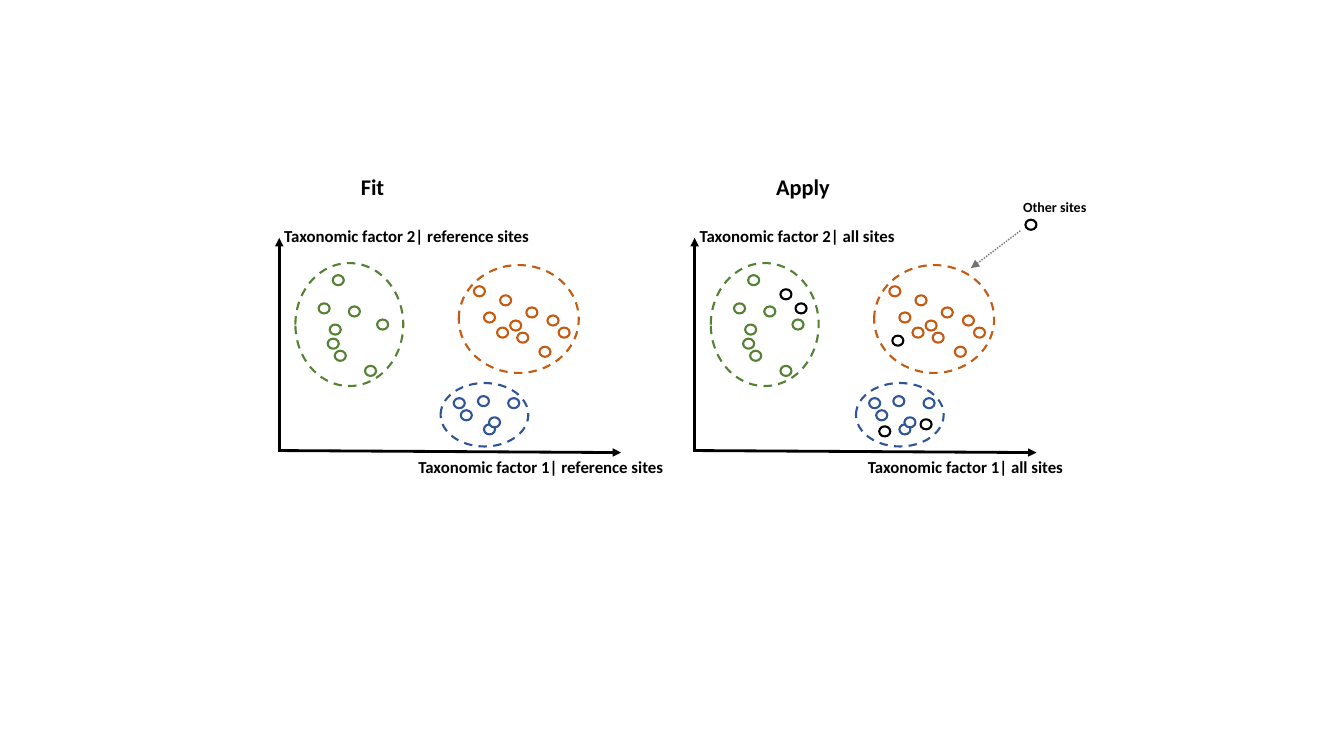
from pptx import Presentation
from pptx.dml.color import RGBColor
from pptx.enum.dml import MSO_LINE
from pptx.enum.shapes import MSO_CONNECTOR, MSO_SHAPE
from pptx.enum.text import MSO_AUTO_SIZE
from pptx.oxml.ns import qn
from pptx.util import Inches, Pt
from lxml.etree import SubElement

BLACK = RGBColor(0x00, 0x00, 0x00)
WHITE = RGBColor(0xFF, 0xFF, 0xFF)
GREY = RGBColor(0x76, 0x71, 0x71)
GREEN = RGBColor(0x54, 0x82, 0x35)
ORANGE = RGBColor(0xC5, 0x5A, 0x11)
BLUE = RGBColor(0x2F, 0x55, 0x97)

SITE_SIZE = (0.11, 0.1)
PANEL_STEP = 4.12

# Each cluster: colour, outline (left, top, width, height), reference sites
CLUSTERS = [
    (BLUE, (4.37, 3.8, 0.87, 0.63),
     [(4.5, 3.95), (4.57, 4.07), (4.8, 4.21), (5.04, 3.95), (4.85, 4.14),
      (4.74, 3.93)]),
    (ORANGE, (4.55, 2.63, 1.19, 1.07),
     [(4.7, 2.84), (4.8, 3.1), (4.96, 2.93), (5.06, 3.18), (5.13, 3.3),
      (4.93, 3.25), (5.22, 3.05), (5.35, 3.44), (5.43, 3.13), (5.54, 3.25)]),
    (GREEN, (2.93, 2.61, 1.07, 1.22),
     [(3.3, 2.73), (3.46, 3.04), (3.27, 3.22), (3.16, 3.01), (3.25, 3.36),
      (3.32, 3.48), (3.62, 3.63), (3.74, 3.17)]),
]
OTHER_SITES = [(10.17, 2.18), (7.74, 2.87), (7.89, 3.01), (8.72, 4.23),
               (9.13, 4.16), (8.85, 3.33)]


def set_line(line, color, width, dash=None):
    formats = {"width": Pt(width), "dash_style": dash}
    line.color.rgb = color
    for name, value in formats.items():
        setattr(line, name, value)


def add_ellipse(page, left, top, width, height, color, dash=None):
    ellipse = page.shapes.add_shape(
        MSO_SHAPE.OVAL, Inches(left), Inches(top), Inches(width), Inches(height))
    ellipse.shadow.inherit = False
    ellipse.fill.solid()
    ellipse.fill.fore_color.rgb = WHITE
    set_line(ellipse.line, color, 1.5, dash)


def add_sites(page, sites, color, shift=0):
    for left, top in sites:
        add_ellipse(page, left + shift, top, *SITE_SIZE, color)


def add_arrow(page, start, end, color, width, dash=None, tip="a:tailEnd"):
    arrow = page.shapes.add_connector(
        MSO_CONNECTOR.STRAIGHT, *(Inches(value) for value in (*start, *end)))
    set_line(arrow.line, color, width, dash)
    SubElement(arrow.line._get_or_add_ln(), qn(tip), type="triangle")
    SubElement(arrow._element.spPr, qn("a:effectLst"))


def add_label(page, text, left, top, width, height, size):
    box = page.shapes.add_textbox(
        Inches(left), Inches(top), Inches(width), Inches(height))
    frame = box.text_frame
    frame.word_wrap = True
    frame.auto_size = MSO_AUTO_SIZE.SHAPE_TO_FIT_TEXT
    span = frame.paragraphs[0].add_run()
    span.text = text
    formats = {"name": "Calibri", "size": Pt(size), "bold": True}
    for name, value in formats.items():
        setattr(span.font, name, value)
    span.font.color.rgb = BLACK


def add_panel(page, shift, heading, sites, y_width, x_left, x_width):
    # Cluster outlines
    for color, outline, _ in CLUSTERS:
        left, *rest = outline
        add_ellipse(page, left + shift, *rest, color, MSO_LINE.DASH)
    # Axes
    add_arrow(page, (2.77 + shift, 4.47), (6.16 + shift, 4.49), BLACK, 2)
    add_arrow(page, (2.77 + shift, 4.48), (2.77 + shift, 2.36), BLACK, 2)
    # Reference sites
    for color, _, points in CLUSTERS:
        add_sites(page, points, color, shift)
    # Heading and axis labels
    add_label(page, heading, 3.48 + shift, 1.67, 2.52, 0.37, 16)
    add_label(page, f"Taxonomic factor 2| {sites}", 2.72 + shift, 2.19, y_width, 0.3, 12)
    add_label(page, f"Taxonomic factor 1| {sites}", x_left, 4.48, x_width, 0.3, 12)


def main():
    deck = Presentation()
    deck.slide_width, deck.slide_height = Inches(13.33), Inches(7.5)
    page = deck.slides.add_slide(deck.slide_layouts[6])

    add_panel(page, 0, "Fit", "reference sites", 2.94, 4.05, 2.78)
    add_panel(page, PANEL_STEP, "Apply", "all sites", 2.52, 8.51, 2.52)

    # Other sites joining the clusters
    add_label(page, "Other sites", 10.05, 1.92, 1.04, 0.27, 10)
    add_arrow(page, (9.63, 2.66), (10.12, 2.29), GREY, 1, MSO_LINE.ROUND_DOT, "a:headEnd")
    add_sites(page, OTHER_SITES, BLACK)

    deck.save("out.pptx")


if __name__ == "__main__":
    main()
